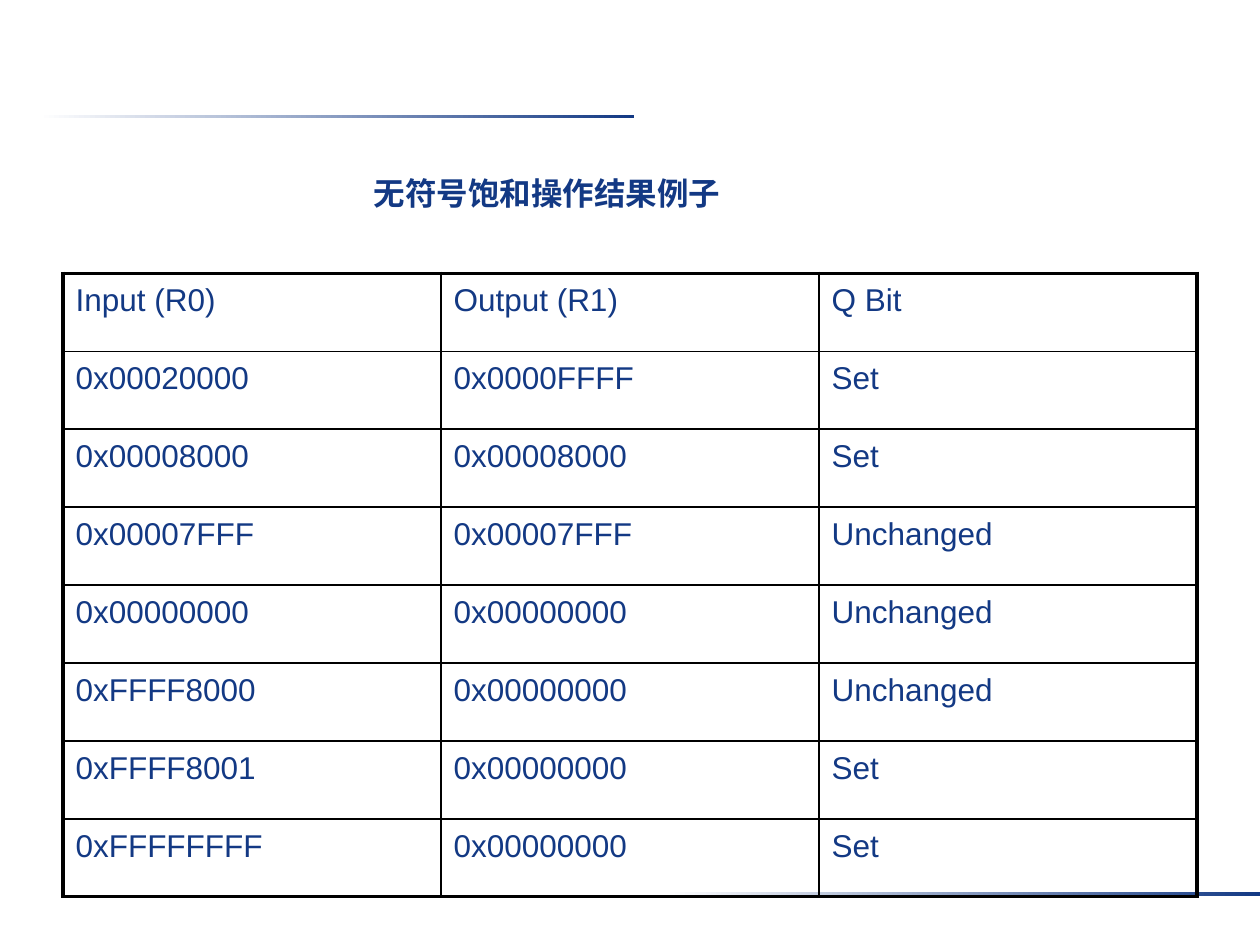
from lxml import etree
from pptx import Presentation
from pptx import util as u
from pptx.dml.color import RGBColor
from pptx.enum import shapes, text
from pptx.oxml import ns

COLORS = {"navy": "133984", "white": "FFFFFF", "border": "000000"}
THIN, THICK = u.Pt(1), u.Pt(2.25)


def style_font(paragraph, bold=False):
    paragraph.font.name = "Arial"
    paragraph.font.size = u.Pt(18)
    paragraph.font.bold = bold
    paragraph.font.color.rgb = RGBColor.from_string(COLORS["navy"])


def add_border(cell, side, width):
    properties = cell._tc.get_or_add_tcPr()
    line = etree.SubElement(properties, ns.qn(f"a:ln{side}"), w=str(width))
    fill = etree.SubElement(line, ns.qn("a:solidFill"))
    etree.SubElement(fill, ns.qn("a:srgbClr"), val=COLORS["border"])


presentation = Presentation()
presentation.slide_width, presentation.slide_height = u.Cm(25.4), u.Cm(19.05)
slide = presentation.slides.add_slide(presentation.slide_layouts[6])

# Gradient rules above and below the content
for left, top in [(0.79, 2.31), (13.41, 17.98)]:
    rule = slide.shapes.add_shape(
        shapes.MSO_SHAPE.RECTANGLE, u.Cm(left), u.Cm(top), u.Cm(11.99), u.Cm(0.08))
    rule.shadow.inherit = False
    rule.line.fill.background()
    rule.fill.gradient()
    rule.fill.gradient_angle = 0
    for stop, color in zip(rule.fill.gradient_stops, ("white", "navy")):
        stop.color.rgb = RGBColor.from_string(COLORS[color])

# Title
title = slide.shapes.add_textbox(u.Cm(7.29), u.Cm(3.38), u.Cm(7.62), u.Cm(1.02))
title.text_frame.word_wrap = False
title.text_frame.auto_size = text.MSO_AUTO_SIZE.SHAPE_TO_FIT_TEXT
paragraph = title.text_frame.paragraphs[0]
paragraph.text = "无符号饱和操作结果例子"
paragraph.alignment = text.PP_ALIGN.LEFT
style_font(paragraph, bold=True)

# Saturation results table
results = [
    ("Input (R0)", "Output (R1)", "Q Bit"),
    ("0x00020000", "0x0000FFFF", "Set"),
    ("0x00008000", "0x00008000", "Set"),
    ("0x00007FFF", "0x00007FFF", "Unchanged"),
    ("0x00000000", "0x00000000", "Unchanged"),
    ("0xFFFF8000", "0x00000000", "Unchanged"),
    ("0xFFFF8001", "0x00000000", "Set"),
    ("0xFFFFFFFF", "0x00000000", "Set"),
]
last_row, last_column = len(results) - 1, len(results[0]) - 1
table = slide.shapes.add_table(
    len(results), len(results[0]),
    u.Cm(1.27), u.Cm(5.51), u.Cm(22.86), u.Cm(12.57)).table
table.first_row = table.horz_banding = False

for row, values in enumerate(results):
    for column, value in enumerate(values):
        cell = table.cell(row, column)
        paragraph = cell.text_frame.paragraphs[0]
        paragraph.text = value
        paragraph.line_spacing = 1.1
        style_font(paragraph)
        # Thick frame outside, thin grid inside
        outer_sides = {"L": column == 0, "R": column == last_column,
                       "T": row == 0, "B": row == last_row}
        for side, is_outer in outer_sides.items():
            add_border(cell, side, THICK if is_outer else THIN)
        cell.fill.background()

presentation.save("out.pptx")
